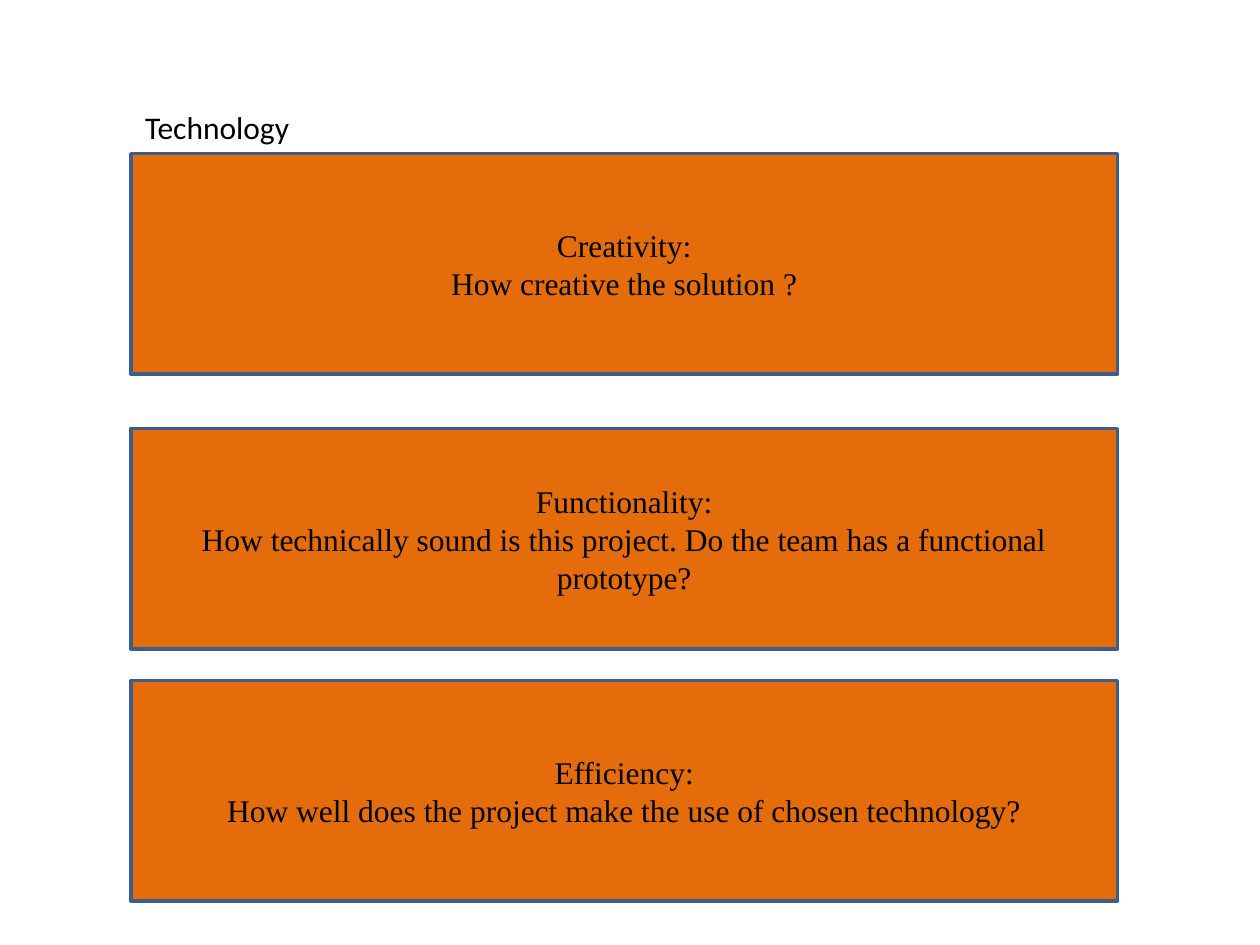
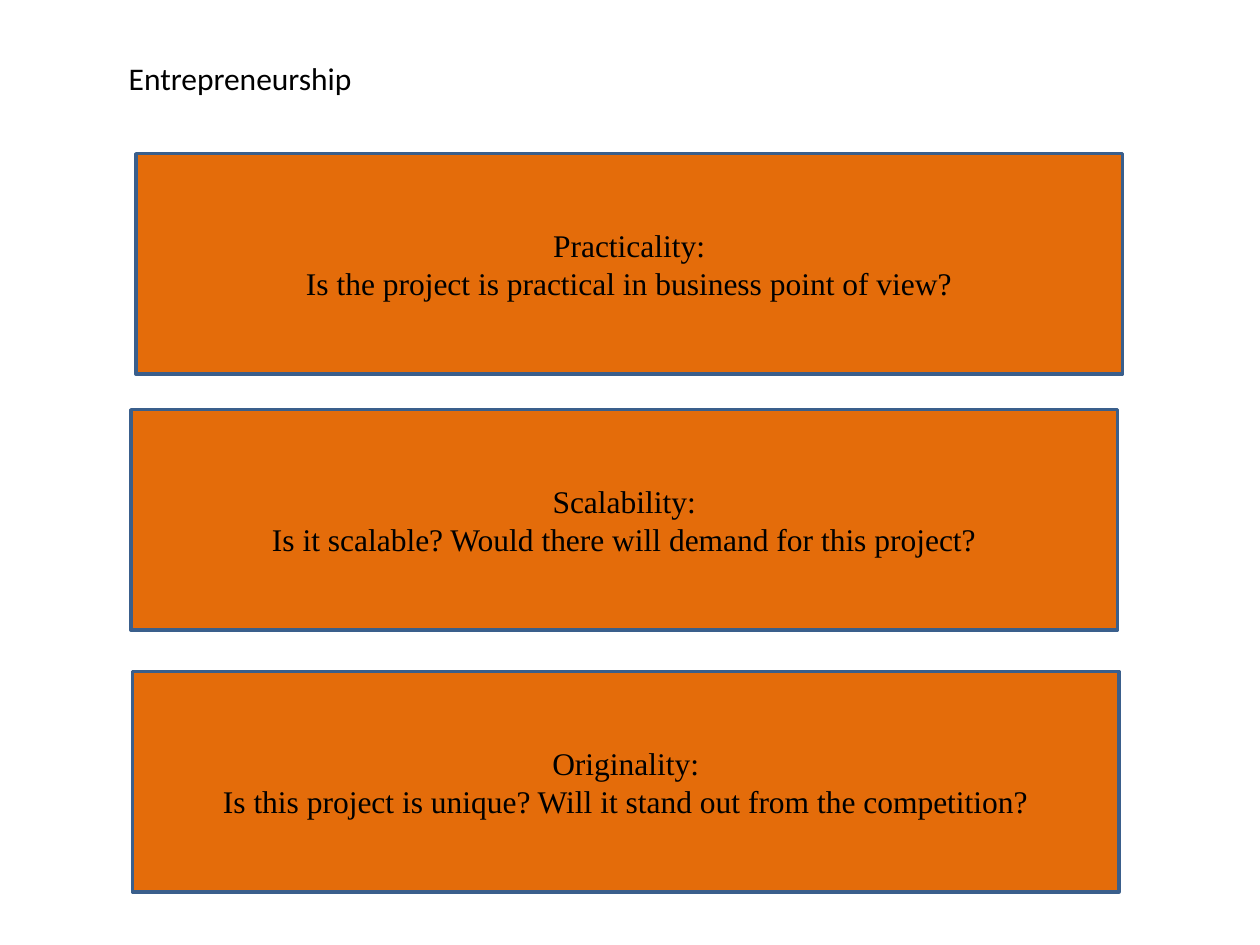
from pptx import Presentation
from pptx.dml.color import RGBColor
from pptx.enum.shapes import MSO_SHAPE
from pptx.enum.text import MSO_ANCHOR, MSO_AUTO_SIZE, PP_ALIGN
from pptx.util import Cm, Pt

COLORS = {"card": "E46C0A", "border": "3A5F8C", "text": "000000"}
TITLE_SIZE = (12.7, 1.02)
CARD_SIZE = (19.89, 4.44)
TITLE_FORMAT = {"name": "Calibri", "size": Pt(18), "bold": False}
CARD_FORMAT = {"name": "Times New Roman", "size": Pt(18)}

# Positions are (left, top) in centimetres
SLIDES = [
    {
        "title": ("Technology", (2.67, 2.06)),
        "criteria": [
            ("Creativity:", "How creative the solution ?", (2.64, 3.1)),
            ("Functionality:",
             "How technically sound is this project. Do the team has a functional prototype?",
             (2.64, 8.64)),
            ("Efficiency:",
             "How well does the project make the use of chosen technology?",
             (2.64, 13.72)),
        ],
    },
    {
        "title": ("Entrepreneurship", (2.34, 1.07)),
        "criteria": [
            ("Practicality:",
             "Is the project is practical in business point of view?",
             (2.74, 3.1)),
            ("Scalability:",
             "Is it scalable? Would there will demand for this project?",
             (2.64, 8.26)),
            ("Originality:",
             "Is this project is unique? Will it stand out from the competition?",
             (2.67, 13.54)),
        ],
    },
]


def color(name):
    return RGBColor.from_string(COLORS[name])


def write(shape, lines, font_format, align, anchor):
    tf = shape.text_frame
    tf.word_wrap = True
    tf.auto_size = MSO_AUTO_SIZE.NONE
    tf.vertical_anchor = anchor
    for i, line in enumerate(lines):
        p = tf.add_paragraph() if i else tf.paragraphs[0]
        p.alignment = align
        r = p.add_run()
        r.text = line
        r.font.color.rgb = color("text")
        for key, value in font_format.items():
            setattr(r.font, key, value)


def place_title(s, text, position):
    title = s.shapes.title
    title.left, title.top, title.width, title.height = map(Cm, position + TITLE_SIZE)
    write(title, [text], TITLE_FORMAT, PP_ALIGN.LEFT, MSO_ANCHOR.TOP)


def add_card(s, heading, question, position):
    card = s.shapes.add_shape(MSO_SHAPE.RECTANGLE, *map(Cm, position + CARD_SIZE))
    card.shadow.inherit = False
    card.fill.solid()
    card.fill.fore_color.rgb = color("card")
    card.line.color.rgb = color("border")
    card.line.width = Pt(2)
    write(card, [heading, question], CARD_FORMAT, PP_ALIGN.CENTER, MSO_ANCHOR.MIDDLE)


def main():
    prs = Presentation()
    prs.slide_width, prs.slide_height = Cm(25.4), Cm(19.05)
    title_only = prs.slide_layouts[5]
    for content in SLIDES:
        s = prs.slides.add_slide(title_only)
        place_title(s, *content["title"])
        for criterion in content["criteria"]:
            add_card(s, *criterion)
    prs.save("out.pptx")


if __name__ == "__main__":
    main()
